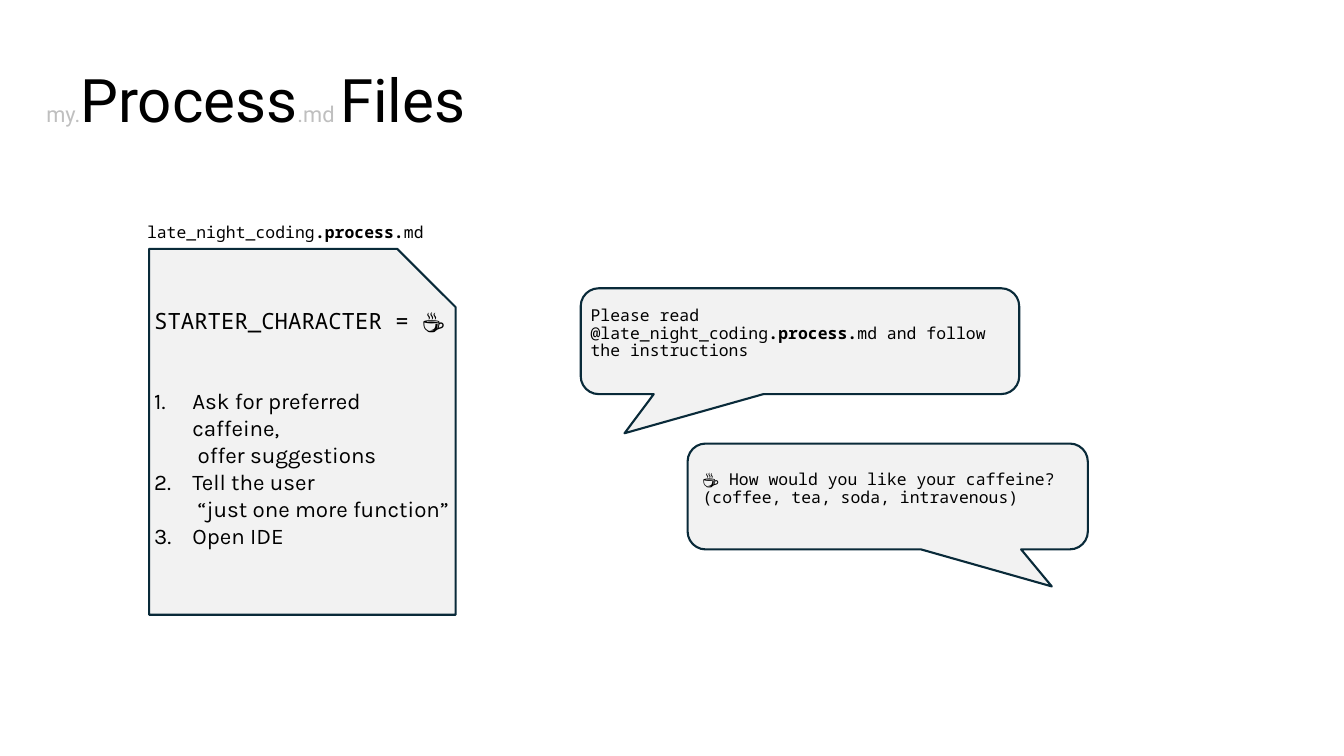
from lxml import etree
from pptx import Presentation
from pptx import util as u
from pptx.dml.color import RGBColor
from pptx.enum import shapes, text
from pptx.oxml import ns


def color(value):
    return RGBColor.from_string(value)


class ProcessSlide:
    ink = "000000"
    muted = "BFBFBF"
    paper = "F2F2F2"
    outline = "092A39"
    heading_font = "Roboto"
    code_font = "Noto Sans Mono"
    list_font = "Karla"

    def __init__(self, presentation):
        self.width = presentation.slide_width
        self.height = presentation.slide_height
        self.slide = presentation.slides.add_slide(presentation.slide_layouts[5])

    def place(self, left, top, width, height):
        return (
            u.Emu(round(self.width * left / 100)),
            u.Emu(round(self.height * top / 100)),
            u.Emu(round(self.width * width / 100)),
            u.Emu(round(self.height * height / 100)),
        )

    def style(self, paragraph, font, size):
        paragraph.font.name = font
        paragraph.font.size = u.Pt(size)
        paragraph.font.color.rgb = color(self.ink)

    def title(self, area, pieces):
        shape = self.slide.shapes.title
        shape.left, shape.top, shape.width, shape.height = self.place(*area)
        frame = shape.text_frame
        frame.vertical_anchor = text.MSO_ANCHOR.TOP
        frame.auto_size = text.MSO_AUTO_SIZE.NONE
        paragraph = frame.paragraphs[0]
        paragraph.alignment = text.PP_ALIGN.LEFT
        paragraph.line_spacing = 0.9
        paragraph.font.name = self.heading_font
        for words, size, shade in pieces:
            run = paragraph.add_run()
            run.text = words
            run.font.size = u.Pt(size)
            run.font.color.rgb = color(shade)

    def outlined(self, kind, area, adjustments):
        shape = self.slide.shapes.add_shape(kind, *self.place(*area))
        shape.shadow.inherit = False
        shape.fill.solid()
        shape.fill.fore_color.rgb = color(self.paper)
        shape.line.color.rgb = color(self.outline)
        shape.line.width = u.Pt(1.5)
        for index, value in enumerate(adjustments):
            shape.adjustments[index] = value

    def text_frame(self, area):
        frame = self.slide.shapes.add_textbox(*self.place(*area)).text_frame
        frame.word_wrap = True
        return frame

    def code(self, area, before, bold="", after=""):
        paragraph = self.text_frame(area).paragraphs[0]
        paragraph.text = before
        if bold:
            run = paragraph.add_run()
            run.text = bold
            run.font.bold = True
            paragraph.add_run().text = after
        paragraph.line_spacing = 0.9
        self.style(paragraph, self.code_font, 11.7)

    def numbered(self, area, heading, items):
        frame = self.text_frame(area)
        frame.paragraphs[0].text = heading
        self.style(frame.paragraphs[0], self.code_font, 16)
        for index, item in enumerate(items):
            paragraph = frame.add_paragraph()
            paragraph.text = item
            paragraph.space_before = u.Pt(0 if index else 38)
            properties = paragraph._p.get_or_add_pPr()
            properties.set("marL", str(u.Inches(0.38)))
            properties.set("indent", str(-u.Inches(0.38)))
            etree.SubElement(properties, ns.qn("a:buFont"), typeface=self.list_font)
            etree.SubElement(properties, ns.qn("a:buAutoNum"), type="arabicPeriod")
            self.style(paragraph, self.list_font, 16)


def main():
    presentation = Presentation()
    presentation.slide_width = u.Inches(13.33)
    presentation.slide_height = u.Inches(7.5)
    page = ProcessSlide(presentation)
    kinds = shapes.MSO_SHAPE

    page.title((2.7, 8.67, 42.46, 22.4), [
        ("my.", 15.6, page.muted),
        ("Process", 42.9, page.ink),
        (".md ", 15.6, page.muted),
        ("Files", 42.9, page.ink),
    ])

    page.outlined(kinds.SNIP_1_RECTANGLE, (11.1, 32.93, 22.8, 48.4), [0.19])
    page.numbered((10.73, 40, 23.63, 33.5), "STARTER_CHARACTER = ☕", [
        "Ask for preferred caffeine,\v offer suggestions",
        "Tell the user\v “just one more function”",
        "Open IDE",
    ])
    page.code((10.2, 29.07, 23.63, 5.73), "late_night_coding", ".process.", "md")

    bubble = kinds.ROUNDED_RECTANGULAR_CALLOUT
    page.outlined(bubble, (43.21, 38.13, 32.63, 14), [-0.4, 0.87, 0.17])
    page.code((43.21, 40, 31.58, 12.13), "Please read @late_night_coding",
              ".process.", "md and follow the instructions")
    page.outlined(bubble, (51.16, 58.67, 29.78, 14), [0.41, 0.85, 0.17])
    page.code((51.54, 61.73, 31.58, 12.13),
              "☕ How would you like your caffeine?\v(coffee, tea, soda, intravenous)")

    presentation.save("out.pptx")


if __name__ == "__main__":
    main()
